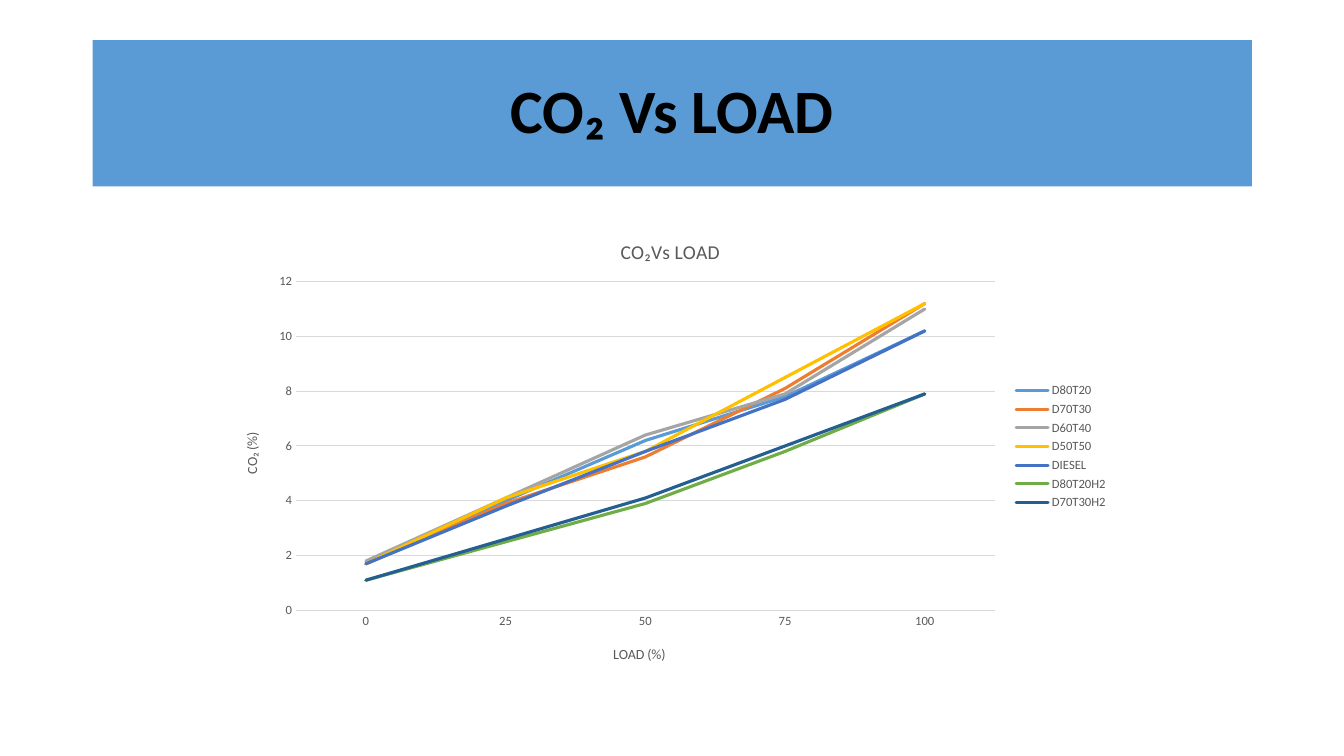
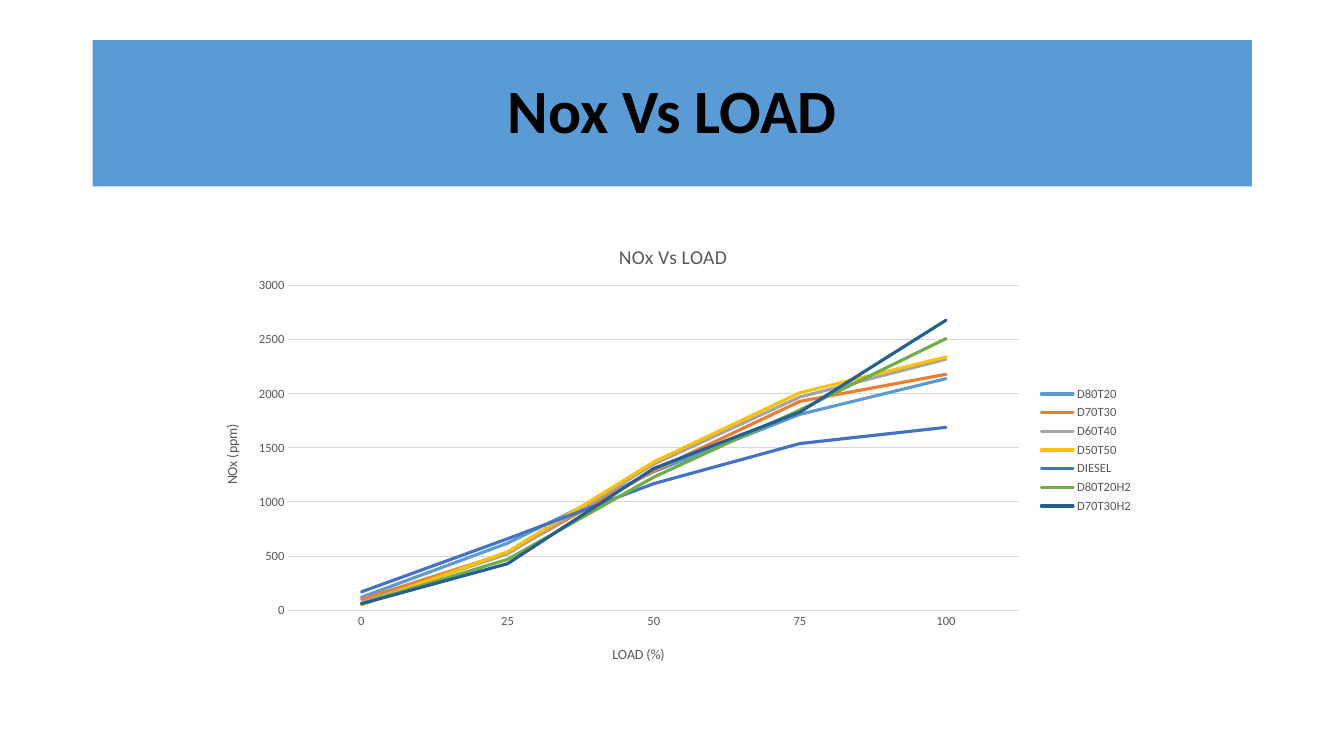
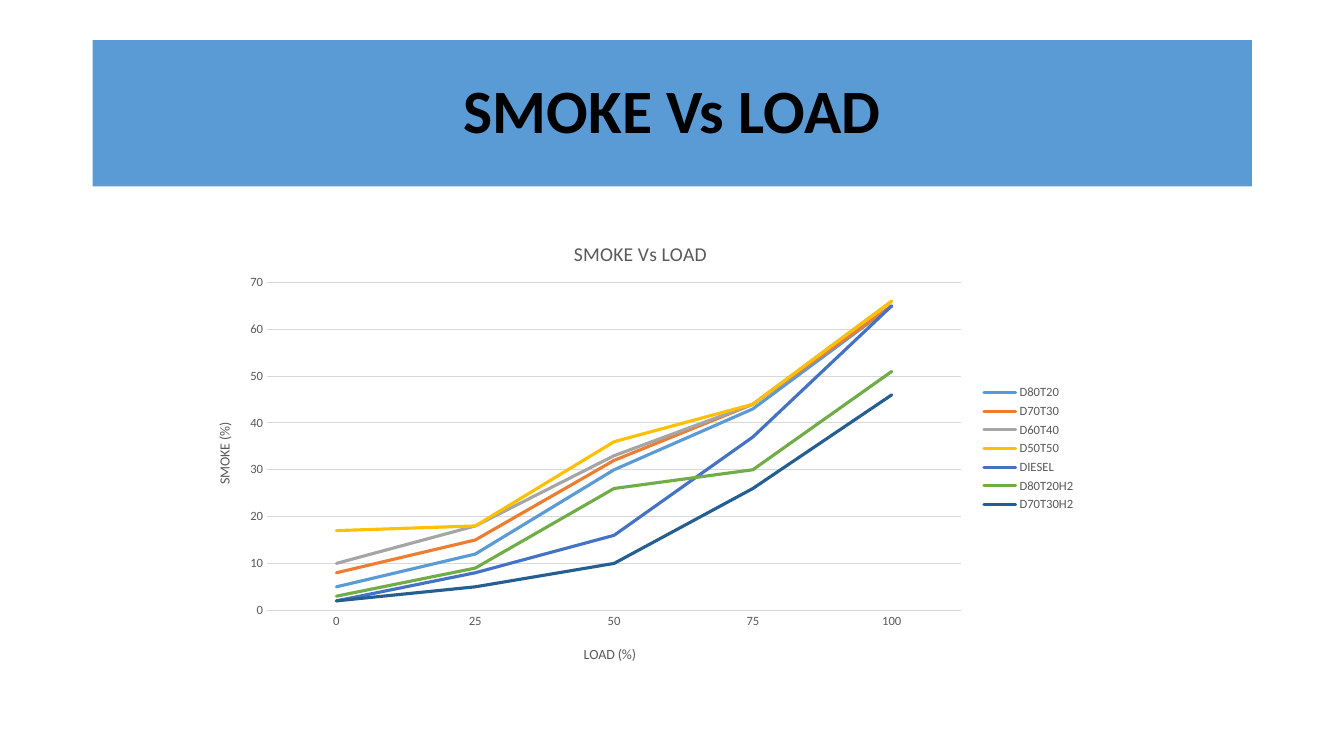
"""Three line charts of engine emissions against load."""
from lxml import etree
from pptx import Presentation
from pptx.chart.data import CategoryChartData
from pptx.dml.color import RGBColor as RGB
from pptx.enum.chart import XL_CHART_TYPE as CT, XL_LEGEND_POSITION as LP, XL_TICK_MARK as TM
from pptx.enum.shapes import MSO_SHAPE
from pptx.enum.text import MSO_ANCHOR, PP_ALIGN
from pptx.oxml.ns import qn
from pptx.util import Inches, Pt

FONT = "Calibri"
COLORS = {"band": "5B9BD5", "title": "000000", "label": "595959", "grid": "D9D9D9"}
FUELS = {"D80T20": "5B9BD5", "D70T30": "ED7D31", "D60T40": "A5A5A5", "D50T50": "FFC000",
         "DIESEL": "4472C4", "D80T20H2": "70AD47", "D70T30H2": "255E91"}
LOADS = ["0", "25", "50", "75", "100"]
BAND = (6.9, 5.33, 86.25, 19.33)

SLIDES = [
    {"title": "CO₂ Vs LOAD", "caption": "CO₂Vs LOAD", "unit": "CO₂ (%)",
     "frame": (16.13, 28, 67.07, 62.13), "plot": (8.8, 14.9, 77.5, 70),
     "caption_at": (44.4, 5), "unit_at": (2.6, 46.4), "top": 12, "step": 2,
     "rows": [(1.7, 4, 6.2, 7.8, 10.2), (1.7, 3.9, 5.6, 8.1, 11.2), (1.8, 4.1, 6.4, 7.9, 11),
              (1.7, 4.1, 5.8, 8.5, 11.2), (1.7, 3.8, 5.8, 7.7, 10.2),
              (1.1, 2.5, 3.9, 5.8, 7.9), (1.1, 2.6, 4.1, 6, 7.9)]},
    {"title": "Nox Vs LOAD", "caption": "NOx Vs LOAD", "unit": "NOx (ppm)",
     "frame": (14.55, 29.07, 70.52, 60.93), "plot": (9.8, 14.3, 77.1, 70.5),
     "caption_at": (44.3, 4.4), "unit_at": (2.6, 43.9), "top": 3000, "step": 500,
     "rows": [(120, 620, 1280, 1810, 2140), (100, 530, 1290, 1930, 2180),
              (70, 520, 1350, 1970, 2320), (50, 540, 1370, 2010, 2340),
              (170, 660, 1170, 1540, 1690), (60, 470, 1230, 1850, 2510),
              (60, 430, 1310, 1830, 2680)]},
    {"title": "SMOKE Vs LOAD", "caption": "SMOKE Vs LOAD", "unit": "SMOKE (%)",
     "frame": (14.1, 28.67, 66.69, 61.33), "plot": (8.65, 14.2, 77.45, 70.7),
     "caption_at": (42.5, 4.4), "unit_at": (2.6, 43.9), "top": 70, "step": 10,
     "rows": [(5, 12, 30, 43, 65), (8, 15, 32, 44, 65), (10, 18, 33, 44, 66),
              (17, 18, 36, 44, 66), (2, 8, 16, 37, 65), (3, 9, 26, 30, 51),
              (2, 5, 10, 26, 46)]},
]

prs = Presentation()
prs.slide_width, prs.slide_height = Inches(13.33), Inches(7.5)


def share(box):
    """Turn percentages of the slide into lengths."""
    return [int(v / 100 * side) for v, side in zip(box, (prs.slide_width, prs.slide_height) * 2)]


def place(el, index, box):
    """Lay out a chart part at percentages of the chart."""
    for old in el.findall(qn("c:layout")):
        el.remove(old)
    layout = etree.Element(qn("c:layout"))
    manual = etree.SubElement(layout, qn("c:manualLayout"))
    if len(box) == 4:
        etree.SubElement(manual, qn("c:layoutTarget"), val="inner")
    for tag in ("xMode", "yMode"):
        etree.SubElement(manual, qn("c:" + tag), val="edge")
    for tag, v in zip("xywh", box):
        etree.SubElement(manual, qn("c:" + tag), val=f"{v / 100:.4f}")
    el.insert(index, layout)


for info in SLIDES:
    s = prs.slides.add_slide(prs.slide_layouts[6])
    sp = s.shapes.add_shape(MSO_SHAPE.RECTANGLE, *share(BAND))
    sp.shadow.inherit = False
    sp.fill.solid()
    sp.fill.fore_color.rgb = RGB.from_string(COLORS["band"])
    sp.line.fill.background()
    tf = sp.text_frame
    tf.word_wrap = True
    tf.vertical_anchor = MSO_ANCHOR.MIDDLE
    p = tf.paragraphs[0]
    p.text = info["title"]
    p.alignment = PP_ALIGN.CENTER
    p.line_spacing = 0.9
    f = p.runs[0].font
    f.name, f.size, f.bold = FONT, Pt(44), True
    f.color.rgb = RGB.from_string(COLORS["title"])

    data = CategoryChartData()
    data.categories = LOADS
    for fuel, row in zip(FUELS, info["rows"]):
        data.add_series(fuel, row)
    chart = s.shapes.add_chart(CT.LINE, *share(info["frame"]), data).chart
    chart.font.name, chart.font.size = FONT, Pt(10)
    plot = chart.plots[0]
    plot.vary_by_categories = False
    for series, color in zip(plot.series, FUELS.values()):
        series.smooth = False
        series.format.line.width = Pt(2.25)
        series.format.line.color.rgb = RGB.from_string(color)
        ln = series.format.line._get_or_add_ln()
        ln.set("cap", "rnd")
        etree.SubElement(ln, qn("a:round"))

    chart.has_legend = True
    legend = chart.legend
    legend.position = LP.RIGHT
    legend.include_in_layout = False
    cat, val = chart.category_axis, chart.value_axis
    for part in (legend, cat.tick_labels, val.tick_labels):
        part.font.name, part.font.size = FONT, Pt(9)
        part.font.color.rgb = RGB.from_string(COLORS["label"])
    for axis in (cat, val):
        axis.major_tick_mark = axis.minor_tick_mark = TM.NONE
    val.minimum_scale, val.maximum_scale, val.major_unit = 0, info["top"], info["step"]
    val.has_major_gridlines = True
    val.format.line.fill.background()
    for line in (cat.format.line, val.major_gridlines.format.line):
        line.width = Pt(0.75)
        line.color.rgb = RGB.from_string(COLORS["grid"])

    place(chart.plots[0]._element.getparent(), 0, info["plot"])
    for title, text, size, at in ((chart.chart_title, info["caption"], 14, info["caption_at"]),
                                  (cat.axis_title, "LOAD (%)", 10, (43.7, 91.8)),
                                  (val.axis_title, info["unit"], 10, info["unit_at"])):
        tf = title.text_frame
        tf.text = text
        f = tf.paragraphs[0].runs[0].font
        f.name, f.size, f.bold = FONT, Pt(size), False
        f.color.rgb = RGB.from_string(COLORS["label"])
        place(title._element, 1, at)
    chart.chart_title.include_in_layout = False
    body = val.axis_title.text_frame._txBody.find(qn("a:bodyPr"))
    body.set("rot", "-5400000")
    body.set("vert", "horz")

prs.save("out.pptx")
